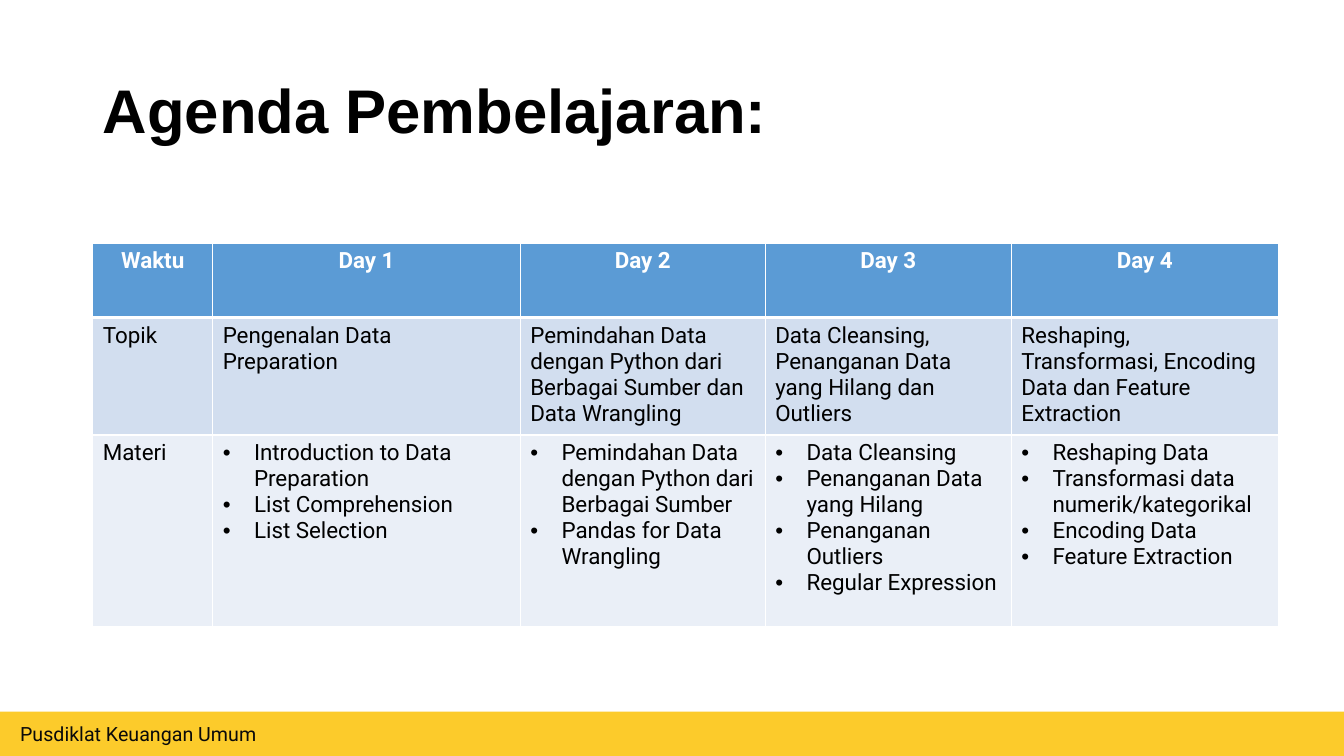
from lxml.etree import SubElement
from pptx import Presentation
from pptx.dml.color import RGBColor
from pptx.enum.shapes import MSO_SHAPE
from pptx.enum.text import MSO_ANCHOR, PP_ALIGN
from pptx.oxml.ns import qn
from pptx.util import Inches, Pt

TITLE = "Agenda Pembelajaran:"
FOOTER = "Pusdiklat Keuangan Umum"
HEADINGS = ["Waktu", "Day 1", "Day 2", "Day 3", "Day 4"]
TOPICS = [
    "Topik",
    "Pengenalan Data Preparation",
    "Pemindahan Data dengan Python dari Berbagai Sumber dan Data Wrangling",
    "Data Cleansing, Penanganan Data yang Hilang dan Outliers",
    "Reshaping, Transformasi, Encoding Data dan Feature Extraction",
]
# A list inside a cell becomes bullets.
MATERIALS = [
    "Materi",
    ["Introduction to Data Preparation", "List Comprehension", "List Selection"],
    ["Pemindahan Data dengan Python dari Berbagai Sumber", "Pandas for Data Wrangling"],
    ["Data Cleansing", "Penanganan Data yang Hilang", "Penanganan Outliers",
     "Regular Expression"],
    ["Reshaping Data", "Transformasi data numerik/kategorikal", "Encoding Data",
     "Feature Extraction"],
]
AGENDA = [HEADINGS, TOPICS, MATERIALS]

SLIDE_WIDTH, SLIDE_HEIGHT = 13.33, 7.5
FOOTER_HEIGHT = 0.44
LEFT = 0.92
TABLE_TOP = 2.41
COLUMN_WIDTHS = [1.19, 3.05, 2.43, 2.44, 2.65]
ROW_HEIGHTS = [0.74, 1.13, 1.9]
BULLET_INDENT = 0.31


class Theme:
    heading_font, body_font = "Arial", "Roboto"
    title_size, table_size, footer_size = 44, 16, 14
    black, white, footer_text = "000000", "FFFFFF", "0A0A0A"
    footer_fill = "FCCB2B"
    row_fills = ["5B9BD5", "D2DEEF", "EAEFF7"]
    border, header_border = 1, 3


def style_font(paragraph, name, size, color, bold=False):
    font = paragraph.font
    font.name, font.size, font.bold = name, Pt(size), bold
    font.color.rgb = RGBColor.from_string(color)


def add_bullet(paragraph):
    properties = paragraph._p.get_or_add_pPr()
    properties.set("marL", str(Inches(BULLET_INDENT)))
    properties.set("indent", str(-Inches(BULLET_INDENT)))
    bullet_color = SubElement(properties, qn("a:buClr"))
    SubElement(bullet_color, qn("a:srgbClr"), val=Theme.black)
    SubElement(properties, qn("a:buFont"), typeface=Theme.heading_font)
    SubElement(properties, qn("a:buChar"), char="•")


def add_borders(cell, top, bottom):
    """Draw white cell edges; top and bottom are widths in points."""
    widths = {"L": Theme.border, "R": Theme.border, "T": top, "B": bottom}
    properties = cell._tc.get_or_add_tcPr()
    for side, width in widths.items():
        line = SubElement(properties, qn(f"a:ln{side}"), w=str(Pt(width)))
        fill = SubElement(line, qn("a:solidFill"))
        SubElement(fill, qn("a:srgbClr"), val=Theme.white)


def fill_cell(cell, content, row):
    is_header = row == 0
    add_borders(
        cell,
        top=Theme.header_border if row == 1 else Theme.border,
        bottom=Theme.header_border if is_header else Theme.border,
    )
    cell.fill.solid()
    cell.fill.fore_color.rgb = RGBColor.from_string(Theme.row_fills[row])

    bulleted = isinstance(content, list)
    cell.text_frame.text = "\n".join(content) if bulleted else content
    for paragraph in cell.text_frame.paragraphs:
        if bulleted:
            add_bullet(paragraph)
        paragraph.alignment = PP_ALIGN.CENTER if is_header else PP_ALIGN.LEFT
        color = Theme.white if is_header else Theme.black
        style_font(paragraph, Theme.body_font, Theme.table_size, color, is_header)


def add_footer(slide):
    bar = slide.shapes.add_shape(
        MSO_SHAPE.RECTANGLE, 0, Inches(SLIDE_HEIGHT - FOOTER_HEIGHT),
        Inches(SLIDE_WIDTH), Inches(FOOTER_HEIGHT))
    bar.shadow.inherit = False
    bar.fill.solid()
    bar.fill.fore_color.rgb = RGBColor.from_string(Theme.footer_fill)
    bar.line.fill.background()
    frame = bar.text_frame
    frame.margin_left = frame.margin_right = Inches(0.2)
    frame.margin_top = frame.margin_bottom = Inches(0.1)
    frame.vertical_anchor = MSO_ANCHOR.MIDDLE
    frame.text = FOOTER
    paragraph = frame.paragraphs[0]
    paragraph.alignment = PP_ALIGN.LEFT
    style_font(paragraph, Theme.body_font, Theme.footer_size, Theme.footer_text)


def add_title(slide):
    box = slide.shapes.add_textbox(Inches(LEFT), Inches(0.4), Inches(11.5), Inches(1.45))
    frame = box.text_frame
    frame.word_wrap = True
    frame.vertical_anchor = MSO_ANCHOR.MIDDLE
    frame.text = TITLE
    paragraph = frame.paragraphs[0]
    paragraph.line_spacing = 0.9
    style_font(paragraph, Theme.heading_font, Theme.title_size, Theme.black, bold=True)


def add_agenda(slide):
    table = slide.shapes.add_table(
        len(AGENDA), len(HEADINGS), Inches(LEFT), Inches(TABLE_TOP),
        Inches(sum(COLUMN_WIDTHS)), Inches(sum(ROW_HEIGHTS))).table
    for column, width in zip(table.columns, COLUMN_WIDTHS):
        column.width = Inches(width)
    for row, (height, contents) in enumerate(zip(ROW_HEIGHTS, AGENDA)):
        table.rows[row].height = Inches(height)
        for column, content in enumerate(contents):
            fill_cell(table.cell(row, column), content, row)


def main():
    presentation = Presentation()
    presentation.slide_width = Inches(SLIDE_WIDTH)
    presentation.slide_height = Inches(SLIDE_HEIGHT)
    slide = presentation.slides.add_slide(presentation.slide_layouts[6])
    add_footer(slide)
    add_title(slide)
    add_agenda(slide)
    presentation.save("out.pptx")


if __name__ == "__main__":
    main()
